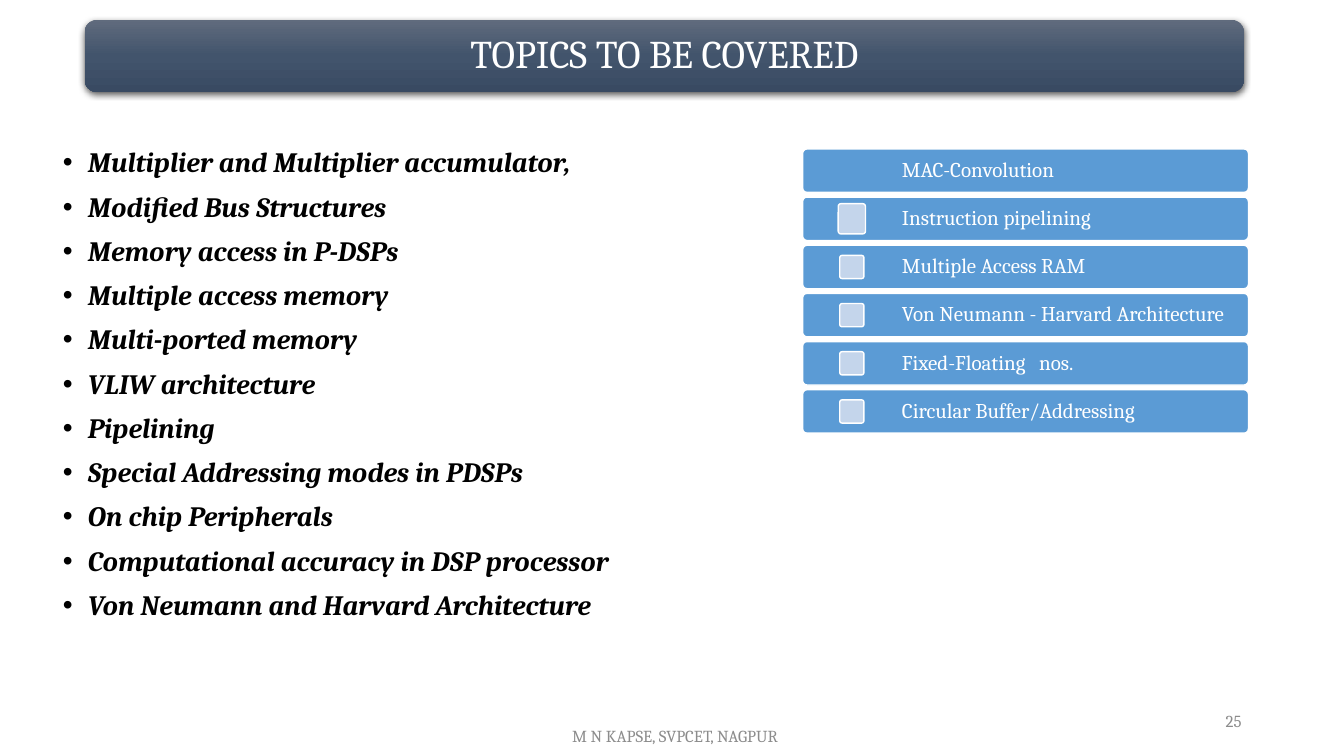
from dataclasses import dataclass

from lxml import etree
from pptx import Presentation
from pptx import util as u
from pptx.dml.color import RGBColor
from pptx.enum import shapes, text
from pptx.oxml import ns

TITLE = "TOPICS TO BE COVERED"
TOPICS = [
    "Multiplier and Multiplier accumulator,",
    "Modified Bus Structures",
    "Memory access in P-DSPs",
    "Multiple access memory",
    "Multi-ported memory",
    "VLIW architecture",
    "Pipelining",
    "Special Addressing modes in PDSPs",
    "On chip Peripherals",
    "Computational accuracy in DSP processor",
    "Von Neumann and Harvard Architecture",
]
SMALL, LARGE = (1.8, 3.07), (2.03, 4)
CARDS = [
    ("MAC-Convolution", None),
    ("Instruction pipelining", LARGE),
    ("Multiple Access RAM", SMALL),
    ("Von Neumann - Harvard Architecture", SMALL),
    ("Fixed-Floating\tnos.", SMALL),
    ("Circular Buffer/Addressing", SMALL),
]
PAGE = "25"
FOOTER = "M N KAPSE, SVPCET, NAGPUR"


@dataclass(frozen=True)
class Theme:
    font: str = "Cambria"
    white: str = "FFFFFF"
    ink: str = "000000"
    muted: str = "8C8C8C"
    card: str = "5B9BD5"
    marker: str = "C4D5EB"
    banner: tuple = ((0, "606B7D"), (50, "42546C"), (100, "394A62"))
    title_size: int = 28
    topic_size: int = 20
    card_size: int = 15
    footer_size: int = 12


THEME = Theme()
SLIDE_W, SLIDE_H = u.Inches(13.33), u.Inches(7.5)
BANNER_AREA = (6.3, 2.62, 86.25, 9.55)
TOPICS_AREA = (3.93, 19.03, 53, 74.27)
PAGE_AREA = (70.62, 92.67, 22.5, 5.33)
FOOTER_AREA = (33.36, 94.67, 33.75, 5.33)
CARD_X, CARD_Y, CARD_W, CARD_H = 59.72, 19.7, 33.17, 5.75
CARD_PITCH = 6.37
MARKER_CENTER = 63.38
LABEL_X, LABEL_W = 66.66, 26.2


def across(share):
    return round(SLIDE_W * share / 100)


def down(share):
    return round(SLIDE_H * share / 100)


def place(area):
    left, top, width, height = area
    return across(left), down(top), across(width), down(height)


def add(parent, tag, **attributes):
    return etree.SubElement(parent, ns.qn(tag), attributes)


def write(box, lines, size, color, align=text.PP_ALIGN.LEFT, spacing=None,
          anchor=text.MSO_ANCHOR.MIDDLE, strong=False):
    frame = box.text_frame
    frame.word_wrap = True
    frame.vertical_anchor = anchor
    frame.text = "\n".join(lines)
    for paragraph in frame.paragraphs:
        paragraph.alignment = align
        paragraph.line_spacing = spacing
        for run in paragraph.runs:
            run.font.name = THEME.font
            run.font.size = u.Pt(size)
            run.font.color.rgb = RGBColor.from_string(color)
            run.font.bold = run.font.italic = strong
    return frame


def rounded(slide, area, fill, corner):
    panel = slide.shapes.add_shape(shapes.MSO_SHAPE.ROUNDED_RECTANGLE, *place(area))
    panel.shadow.inherit = False
    panel.adjustments[0] = corner
    panel.fill.solid()
    panel.fill.fore_color.rgb = RGBColor.from_string(fill)
    panel.line.color.rgb = RGBColor.from_string(THEME.white)
    panel.line.width = u.Pt(1)
    return panel


def add_banner(slide):
    banner = rounded(slide, BANNER_AREA, THEME.banner[0][1], 0.17)
    banner.line.fill.background()
    banner.fill.gradient()
    banner.fill.gradient_angle = 270
    properties = banner._element.spPr
    stops = properties.find(".//" + ns.qn("a:gsLst"))
    for stop in list(stops):
        stops.remove(stop)
    for position, color in THEME.banner:
        stop = add(stops, "a:gs", pos=str(position * 1000))
        add(stop, "a:srgbClr", val=color)
    shadow = add(properties.find(ns.qn("a:effectLst")), "a:outerShdw",
                 blurRad=str(u.Pt(4.5)), dist=str(u.Pt(1.5)),
                 dir="5400000", algn="ctr", rotWithShape="0")
    shade = add(shadow, "a:srgbClr", val=THEME.ink)
    add(shade, "a:alpha", val="63000")
    write(banner, [TITLE], THEME.title_size, THEME.white,
          text.PP_ALIGN.CENTER, 0.9)


def add_topics(slide):
    topics = slide.shapes.add_textbox(*place(TOPICS_AREA))
    frame = write(topics, TOPICS, THEME.topic_size, THEME.ink, spacing=0.9,
                  anchor=text.MSO_ANCHOR.TOP, strong=True)
    for index, topic in enumerate(frame.paragraphs):
        if index:
            topic.space_before = u.Pt(10)
        properties = topic._p.get_or_add_pPr()
        properties.set("marL", str(u.Inches(0.25)))
        properties.set("indent", str(-u.Inches(0.25)))
        add(properties, "a:buFont", typeface="Arial")
        add(properties, "a:buChar", char="•")


def add_card(slide, row, words, marker_size):
    top = CARD_Y + row * CARD_PITCH
    rounded(slide, (CARD_X, top, CARD_W, CARD_H), THEME.card, 0.1)
    label = slide.shapes.add_textbox(*place((LABEL_X, top, LABEL_W, CARD_H)))
    frame = write(label, [words], THEME.card_size, THEME.white, spacing=0.9)
    frame.margin_left = frame.margin_right = u.Inches(0.06)
    frame.margin_top = frame.margin_bottom = u.Inches(0.06)
    if "\t" in words:
        tabs = add(frame.paragraphs[0]._p.get_or_add_pPr(), "a:tabLst")
        add(tabs, "a:tab", pos=str(u.Inches(1.36)), algn="l")
    if marker_size:
        width, height = marker_size
        rounded(slide, (MARKER_CENTER - width / 2, top + (CARD_H - height) / 2,
                        width, height), THEME.marker, 0.1)


def main():
    deck = Presentation()
    deck.slide_width, deck.slide_height = SLIDE_W, SLIDE_H
    slide = deck.slides.add_slide(deck.slide_layouts[6])
    add_banner(slide)
    add_topics(slide)
    for area, words, align in (
        (PAGE_AREA, PAGE, text.PP_ALIGN.RIGHT),
        (FOOTER_AREA, FOOTER, text.PP_ALIGN.CENTER),
    ):
        write(slide.shapes.add_textbox(*place(area)), [words],
              THEME.footer_size, THEME.muted, align)
    for row, (words, marker_size) in enumerate(CARDS):
        add_card(slide, row, words, marker_size)
    deck.save("out.pptx")


if __name__ == "__main__":
    main()
